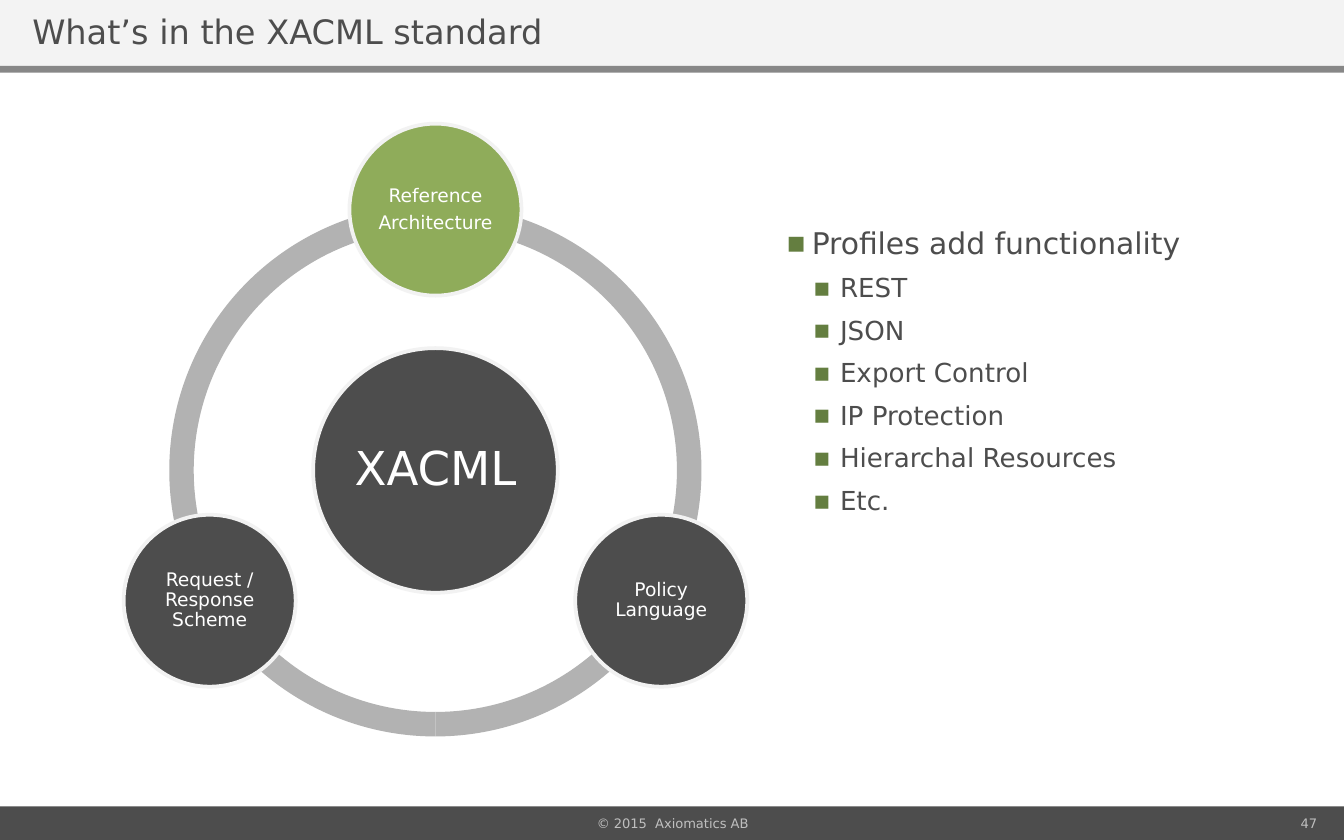
from math import cos, radians, sin

from lxml import etree
from pptx import Presentation
from pptx.dml.color import RGBColor
from pptx.enum.shapes import MSO_SHAPE
from pptx.enum.text import MSO_ANCHOR, PP_ALIGN
from pptx.oxml.ns import qn
from pptx.util import Inches, Pt

TITLE = "What’s in the XACML standard"
COPYRIGHT = "© 2015  Axiomatics AB"
PAGE_NUMBER = "47"
HUB = "XACML"
# paragraphs, angle on the ring in degrees clockwise from the right, fill
PARTS = [
    (["Reference", "Architecture"], -90, "8FAC5A"),
    (["Policy Language"], 30, "4D4D4D"),
    (["Request / Response Scheme"], 150, "4D4D4D"),
]
BULLETS = [
    (0, "Profiles add functionality"),
    (1, "REST"),
    (1, "JSON"),
    (1, "Export Control"),
    (1, "IP Protection"),
    (1, "Hierarchal Resources"),
    (1, "Etc."),
]
# per level: text size, left margin, hanging indent
LEVELS = [(16, 0.19, 0.19), (14, 0.4, 0.2)]

FONT = "DejaVu Sans"
DARK, PALE, WHITE = "4D4D4D", "F2F2F2", "FFFFFF"
WIDTH, HEIGHT, FOOTER = 10, 6.25, 0.25
CENTER_X, CENTER_Y = 3.24, 3.5
RING, ORBIT, HUB_SIZE, PART_SIZE = 3.96, 1.94, 1.82, 1.28
ARC_ENDS = [(90, 162), (18, 90), (162, 18)]
BAND = 0.046

deck = Presentation()
deck.slide_width, deck.slide_height = Inches(WIDTH), Inches(HEIGHT)
page = deck.slides.add_slide(deck.slide_layouts[6])


def color(value):
    return RGBColor.from_string(value)


def add_shape(kind, left, top, width, height, fill, opacity=100):
    shape = page.shapes.add_shape(
        kind, Inches(left), Inches(top), Inches(width), Inches(height))
    shape.shadow.inherit = False
    shape.fill.solid()
    shape.fill.fore_color.rgb = color(fill)
    shape.line.fill.background()
    if opacity < 100:
        tone = shape.fill._xPr.find(".//" + qn("a:srgbClr"))
        etree.SubElement(tone, qn("a:alpha"), val=str(opacity * 1000))
    return shape


def add_box(left, top, width, height, anchor=MSO_ANCHOR.TOP):
    frame = page.shapes.add_textbox(
        Inches(left), Inches(top), Inches(width), Inches(height)).text_frame
    return prepare(frame, 0, anchor)


def prepare(frame, margin, anchor):
    frame.word_wrap = True
    frame.vertical_anchor = anchor
    frame.margin_left = frame.margin_right = Inches(margin)
    frame.margin_top = frame.margin_bottom = Inches(margin)
    return frame


def add_text(frame, text, size, tone, align=PP_ALIGN.LEFT):
    """Fill the empty first paragraph, or append another one."""
    para = frame.paragraphs[0] if not frame.text else frame.add_paragraph()
    para.alignment = align
    span = para.add_run()
    span.text = text
    span.font.size, span.font.name = Pt(size), FONT
    span.font.color.rgb = color(tone)
    return para


def add_bullet(para, left, hanging):
    props = para._p.get_or_add_pPr()
    props.set("marL", str(Inches(left)))
    props.set("indent", str(-Inches(hanging)))
    tint = etree.SubElement(props, qn("a:buClr"))
    etree.SubElement(tint, qn("a:srgbClr"), val="647E40")
    etree.SubElement(props, qn("a:buFont"), typeface=FONT)
    etree.SubElement(props, qn("a:buChar"), char="▪")


def add_disc(center_x, center_y, diameter, fill, lines, size, margin):
    disc = add_shape(MSO_SHAPE.OVAL, center_x - diameter / 2,
                     center_y - diameter / 2, diameter, diameter, fill)
    disc.line.color.rgb = color(PALE)
    disc.line.width = Pt(2)
    frame = prepare(disc.text_frame, margin, MSO_ANCHOR.MIDDLE)
    for line in lines:
        para = add_text(frame, line, size, WHITE, PP_ALIGN.CENTER)
        para.line_spacing = 0.9
        para.space_after = Pt(0.35 * size)


# Header and footer bands
add_shape(MSO_SHAPE.RECTANGLE, 0, 0, WIDTH, 0.49, PALE, 90)
add_shape(MSO_SHAPE.RECTANGLE, 0, HEIGHT - FOOTER, WIDTH, FOOTER, DARK)
add_shape(MSO_SHAPE.RECTANGLE, 0, 0.49, WIDTH, 0.05, "262626", 55)
add_text(add_box(0.24, 0.08, 5.95, 0.4), TITLE, 18, DARK)

# Bulleted list
profiles = add_box(5.85, 1.67, 3.25, 3.94)
for level, text in BULLETS:
    size, left, hanging = LEVELS[level]
    item = add_text(profiles, text, size, DARK)
    item.level = level
    item.space_after = Pt(6)
    add_bullet(item, left, hanging)

# Ring with the hub and its parts
for start, end in ARC_ENDS:
    arc = add_shape(MSO_SHAPE.BLOCK_ARC, CENTER_X - RING / 2,
                    CENTER_Y - RING / 2, RING, RING, "B2B2B2")
    # Angles are stored in 60000ths of a degree, adjustments in 100000ths
    arc.adjustments[0] = start * 0.6
    arc.adjustments[1] = end * 0.6
    arc.adjustments[2] = BAND
add_disc(CENTER_X, CENTER_Y, HUB_SIZE, DARK, [HUB], 25, 0.03)
for lines, angle, fill in PARTS:
    add_disc(CENTER_X + ORBIT * cos(radians(angle)),
             CENTER_Y + ORBIT * sin(radians(angle)),
             PART_SIZE, fill, lines, 10, 0.01)

# Footer texts
for left, width, text, align in [
    (7.17, 2.63, PAGE_NUMBER, PP_ALIGN.RIGHT),
    (3.42, 3.17, COPYRIGHT, PP_ALIGN.CENTER),
]:
    frame = add_box(left, HEIGHT - FOOTER, width, FOOTER, MSO_ANCHOR.MIDDLE)
    add_text(frame, text, 7, "BFBFBF", align)

deck.save("out.pptx")
